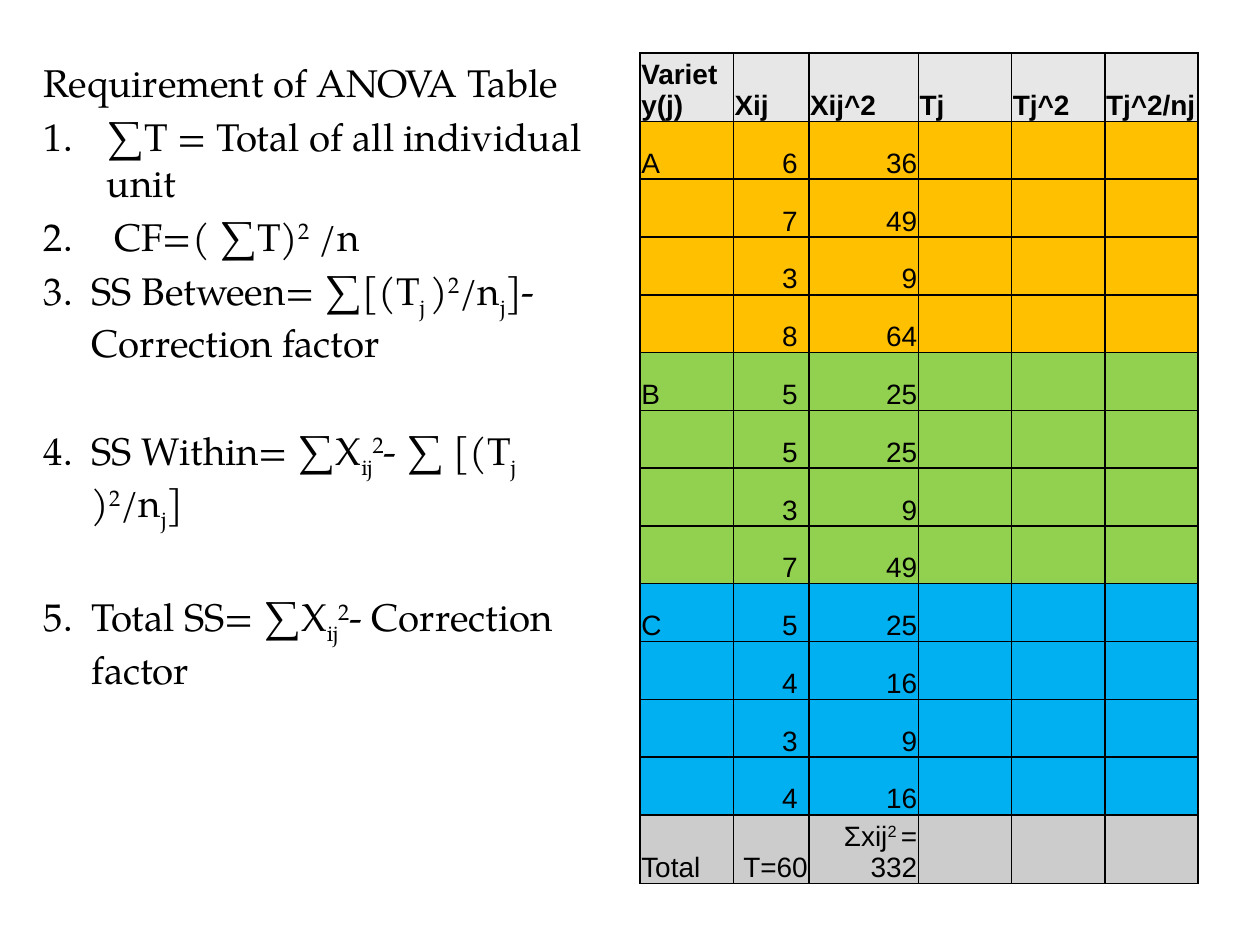
import pptx
import pptx.dml.color
import pptx.enum.text
import pptx.oxml
import pptx.oxml.ns
import pptx.util

THEME = {
    "body_font": "TeX Gyre Pagella", "body_size": 22,
    "table_font": "Arial", "table_size": 16,
    "ink": "000000", "header": "E7E7E7", "total": "CCCCCC",
    "A": "FFC000", "B": "92D050", "C": "00B0F0",
}
NAMESPACE = pptx.oxml.ns.nsdecls("a")
RIGHT = pptx.enum.text.PP_ALIGN.RIGHT
LEFT = pptx.enum.text.PP_ALIGN.LEFT

deck = pptx.Presentation()
deck.slide_width = pptx.util.Inches(10)
deck.slide_height = pptx.util.Inches(7.5)
column, row = deck.slide_width / 100, deck.slide_height / 100
page = deck.slides.add_slide(deck.slide_layouts[6])


def write_spans(para, text):
    """Split text at "|"; a piece led by ^ is raised, one led by _ is lowered."""
    for piece in text.split("|"):
        baseline = {"^": "30000", "_": "-25000"}.get(piece[:1])
        span = para.add_run()
        span.text = piece[1:] if baseline else piece
        if baseline:
            span._r.get_or_add_rPr().set("baseline", baseline)


def set_font(para, kind, bold=False):
    para.font.name = THEME[kind + "_font"]
    para.font.size = pptx.util.Pt(THEME[kind + "_size"])
    para.font.color.rgb = pptx.dml.color.RGBColor.from_string(THEME["ink"])
    para.font.bold = bold


# Requirements: number, hanging indent in columns, space before in points, text
requirements = [
    (None, 3.8, 0, "Requirement of ANOVA Table"),
    (1, 5, 4.4, "∑T = Total of all individual unit"),
    (2, 5.6, 4.4, "CF=( ∑T)|^2| /n"),
    (3, 3.8, 4.4, "SS Between= ∑[(T|_j |)|^2|/n|_j|]- Correction factor"),
    (4, 3.8, 35, "SS Within= ∑X|_ij|^2|- ∑ [(T|_j |)|^2|/n|_j|]"),
    (5, 3.8, 35, "Total SS= ∑X|_ij|^2|- Correction factor"),
]
box = page.shapes.add_textbox(int(2.5 * column), int(5.6 * row),
                              int(46.7 * column), int(83.7 * row))
frame = box.text_frame
frame.word_wrap = True
for index, (number, indent, gap, text) in enumerate(requirements):
    para = frame.paragraphs[0] if index == 0 else frame.add_paragraph()
    properties = para._p.get_or_add_pPr()
    properties.set("marL", str(int(indent * column)))
    properties.set("indent", str(int(-indent * column)))
    if number:
        properties.append(pptx.oxml.parse_xml(
            f'<a:buAutoNum {NAMESPACE} type="arabicPeriod" startAt="{number}"/>'))
    para.space_before = pptx.util.Pt(gap)
    set_font(para, "body")
    write_spans(para, text)

# Table: each variety contributes four observations and their squares
observations = {"A": [6, 7, 3, 8], "B": [5, 5, 3, 7], "C": [5, 4, 3, 4]}
lines = [("header", ["Variety(j)", "Xij", "Xij^2", "Tj", "Tj^2", "Tj^2/nj"])]
for variety, values in observations.items():
    for index, value in enumerate(values):
        name = variety if index == 0 else ""
        lines.append((variety, [name, str(value), str(value ** 2), "", "", ""]))
lines.append(("total", ["Total", "T=60", "Σxij|^2 |= 332", "", "", ""]))

widths = [7.4, 6, 8.7, 7.4, 7.4, 7.4]
table = page.shapes.add_table(
    len(lines), len(widths), int(50.8 * column), int(5.6 * row),
    int(sum(widths) * column), int(len(lines) * 6.12 * row)).table
table.first_row = False
table.horz_banding = False
for table_column, width in zip(table.columns, widths):
    table_column.width = int(width * column)

for table_row, (kind, texts) in zip(table.rows, lines):
    table_row.height = int(6.12 * row)
    for index, (cell, text) in enumerate(zip(table_row.cells, texts)):
        observed = index == 1 and kind in observations
        cell.margin_left = cell.margin_top = int(0.1 * column)
        cell.margin_right = int((0.9 if observed else 0.1) * column)
        cell.margin_bottom = 0
        cell.vertical_anchor = pptx.enum.text.MSO_ANCHOR.BOTTOM
        for side in "LRTB":
            cell._tc.get_or_add_tcPr().append(pptx.oxml.parse_xml(
                f'<a:ln{side} {NAMESPACE} w="12700"><a:solidFill>'
                f'<a:srgbClr val="{THEME["ink"]}"/></a:solidFill></a:ln{side}>'))
        cell.fill.solid()
        cell.fill.fore_color.rgb = pptx.dml.color.RGBColor.from_string(THEME[kind])
        para = cell.text_frame.paragraphs[0]
        para.alignment = RIGHT if index in (1, 2) and kind != "header" else LEFT
        set_font(para, "table", bold=kind == "header")
        if text:
            write_spans(para, text)

deck.save("out.pptx")
